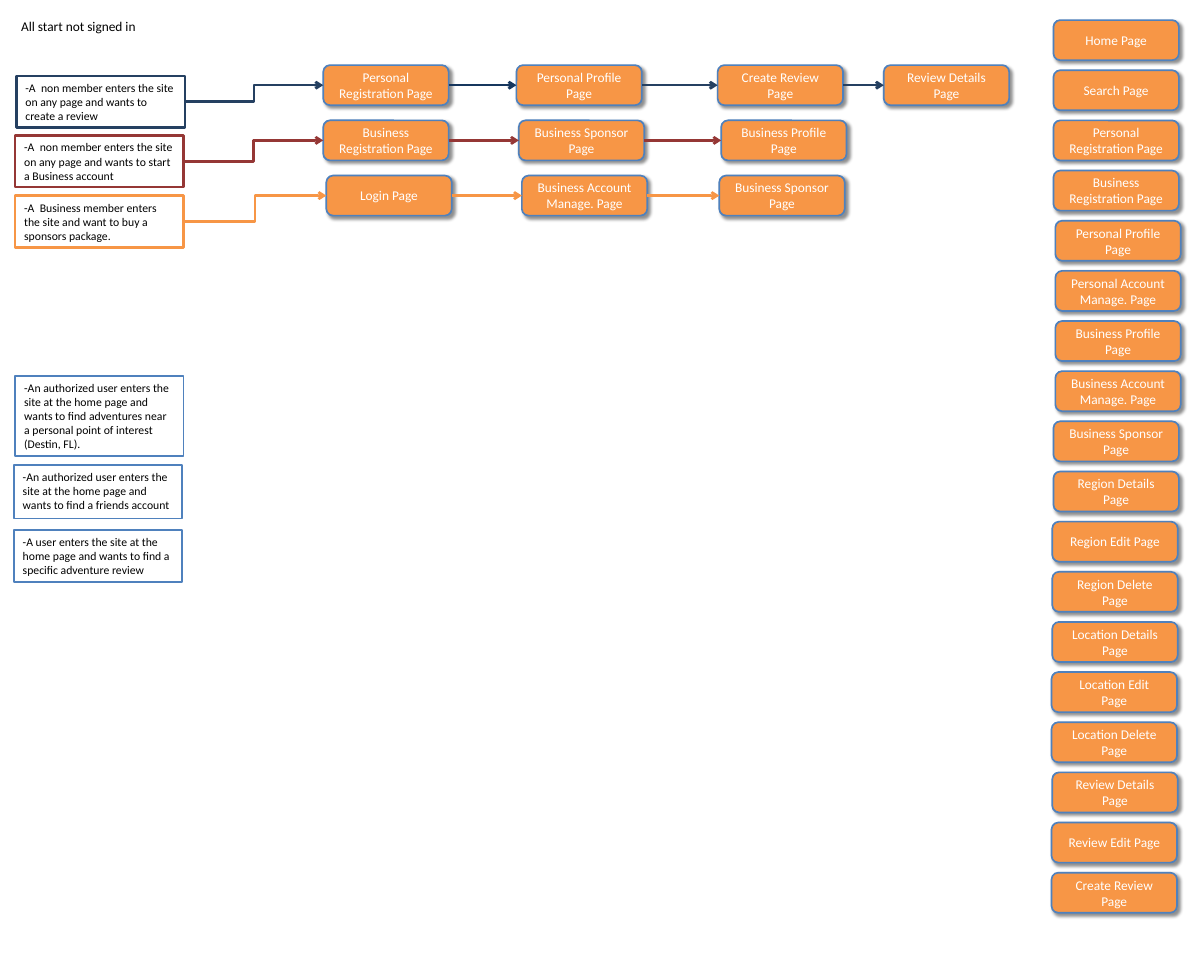
"""Build a slide of user flows through a review site, with its list of pages."""
from lxml.etree import SubElement
from pptx import Presentation
from pptx.dml.color import RGBColor
from pptx.enum.shapes import MSO_CONNECTOR as Link, MSO_SHAPE as Preset
from pptx.enum.text import MSO_ANCHOR as Anchor, PP_ALIGN as Align
from pptx.oxml.ns import qn
from pptx.util import Cm, Pt


def paint(color_format, value):
    color_format.rgb = RGBColor.from_string(value)


def add_box(preset, place, text, fill, line, line_width, size, color, margins):
    shape = slide.shapes.add_shape(preset, *(Cm(length) for length in place))
    shape.shadow.inherit = False
    shape.fill.solid()
    paint(shape.fill.fore_color, fill)
    paint(shape.line.color, line)
    shape.line.width = Pt(line_width)
    frame = shape.text_frame
    frame.text = text
    frame.word_wrap = True
    frame.margin_left = frame.margin_right = Cm(margins[0])
    frame.margin_top = frame.margin_bottom = Cm(margins[1])
    is_page = preset == Preset.ROUNDED_RECTANGLE
    frame.vertical_anchor = Anchor.MIDDLE if is_page else Anchor.TOP
    paragraph = frame.paragraphs[0]
    paragraph.alignment = Align.CENTER if is_page else Align.LEFT
    font = paragraph.runs[0].font
    font.name, font.size = "Calibri", Pt(size)
    paint(font.color, color)
    if is_page:
        effects = shape._element.spPr.find(qn("a:effectLst"))
        shadow = SubElement(effects, qn("a:outerShdw"), blurRad=str(Pt(4)), dist=str(Pt(4)),
                            dir="2700000", algn="tl", rotWithShape="0")
        black = SubElement(shadow, qn("a:srgbClr"), val="000000")
        SubElement(black, qn("a:alpha"), val="43000")
    return shape


PAGE_WIDTH, PAGE_HEIGHT = 5.29, 1.69
NOTE_WIDTH = 7.11
PAGE_STYLE = ("F79646", "4F81BD", 2, 16, "FFFFFF", (0.53, 0.26))
NAVY, RED, ORANGE, BLUE = "254061", "953735", "F79646", "4F81BD"

presentation = Presentation()
presentation.slide_width, presentation.slide_height = Cm(50.8), Cm(40.64)
slide = presentation.slides.add_slide(presentation.slide_layouts[6])

heading = slide.shapes.add_textbox(Cm(0.64), Cm(0.64), Cm(9.1), Cm(0.94))
heading.text_frame.word_wrap = True
heading.text_frame.text = "All start not signed in"
heading_font = heading.text_frame.paragraphs[0].runs[0].font
heading_font.name, heading_font.size = "Calibri", Pt(16)
paint(heading_font.color, "000000")

notes = [
    (0.69, 3.2, 2.18, NAVY, 3,
     "-A  non member enters the site on any page and wants to create a review"),
    (0.64, 5.72, 2.18, RED, 3,
     "-A  non member enters the site on any page and wants to start a Business account"),
    (0.64, 8.26, 2.18, ORANGE, 3,
     "-A  Business member enters the site and want to buy a sponsors package."),
    (0.64, 15.88, 3.38, BLUE, 2,
     "-An authorized user enters the site at the home page and wants to find adventures "
     "near a personal point of interest (Destin, FL)."),
    (0.58, 19.63, 2.26, BLUE, 2,
     "-An authorized user enters the site at the home page and wants to find a friends account"),
    (0.58, 22.38, 2.18, BLUE, 2,
     "-A user enters the site at the home page and wants to find a specific adventure review"),
]
note_shapes = [
    add_box(Preset.RECTANGLE, (left, top, NOTE_WIDTH, height), text,
            "FFFFFF", line, line_width, 14, "000000", (0.38, 0.2))
    for left, top, height, line, line_width, text in notes
]

page_groups = [
    (44.45, ["Home Page", "Search Page", "Personal Registration Page",
             "Business Registration Page"]),
    (44.53, ["Personal Profile Page", "Personal Account Manage. Page",
             "Business Profile Page", "Business Account Manage. Page"]),
    (44.45, ["Business Sponsor Page", "Region Details Page"]),
    (44.4, ["Region Edit Page", "Region Delete Page", "Location Details Page"]),
    (44.37, ["Location Edit Page", "Location Delete Page"]),
    (44.4, ["Review Details Page"]),
    (44.37, ["Review Edit Page", "Create Review Page"]),
]
pages = [(left, name) for left, names in page_groups for name in names]
page_pitch = 35.98 / (len(pages) - 1)
for index, (left, name) in enumerate(pages):
    place = (left, 0.85 + index * page_pitch, PAGE_WIDTH, PAGE_HEIGHT)
    add_box(Preset.ROUNDED_RECTANGLE, place, name, *PAGE_STYLE)

flows = [
    [(13.64, "Personal Registration Page", NAVY), (21.79, "Personal Profile Page", "17375E"),
     (30.28, "Create Review Page", NAVY), (37.29, "Review Details Page", NAVY)],
    [(13.64, "Business Registration Page", RED), (21.89, "Business Sponsor Page", RED),
     (30.43, "Business Profile Page", RED)],
    [(13.77, "Login Page", ORANGE), (22.02, "Business Account Manage. Page", ORANGE),
     (30.35, "Business Sponsor Page", ORANGE)],
]
for row, (note, steps) in enumerate(zip(note_shapes, flows)):
    previous = note
    for left, name, color in steps:
        place = (left, 2.75 + row * 2.33, PAGE_WIDTH, PAGE_HEIGHT)
        page = add_box(Preset.ROUNDED_RECTANGLE, place, name, *PAGE_STYLE)
        kind = Link.ELBOW if previous is note else Link.STRAIGHT
        arrow = slide.shapes.add_connector(kind, 0, 0, 0, 0)
        arrow.begin_connect(previous, 3)
        arrow.end_connect(page, 1)
        paint(arrow.line.color, color)
        arrow.line.width = Pt(3)
        properties = arrow._element.spPr
        SubElement(properties.find(qn("a:ln")), qn("a:tailEnd"), type="arrow")
        SubElement(properties, qn("a:effectLst"))
        previous = page

presentation.save("out.pptx")
